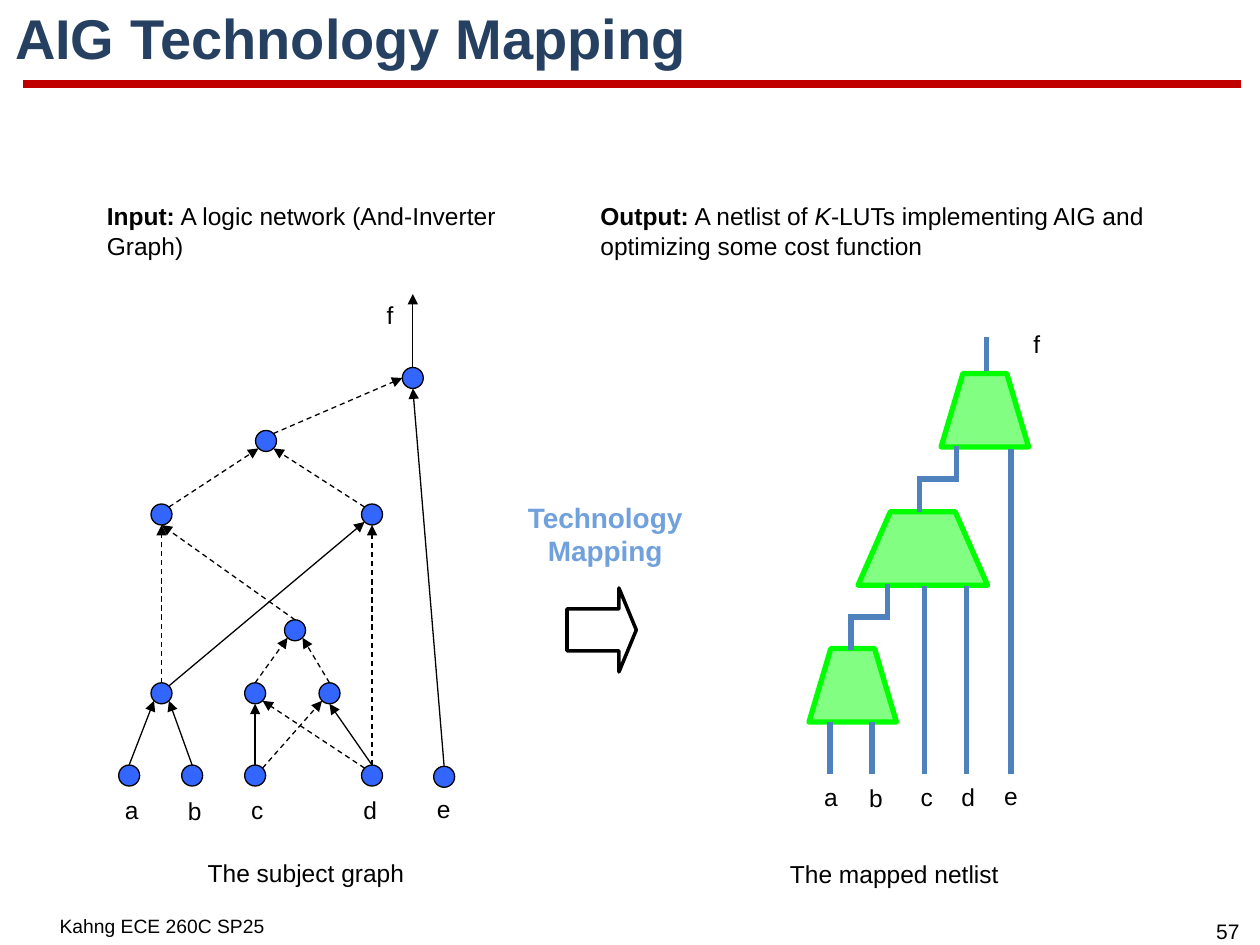
from lxml import etree
from pptx import Presentation
from pptx import util as u
from pptx.dml import color
from pptx.enum import dml, shapes, text
from pptx.oxml import ns

BLACK, NAVY, RED, SKY = "000000", "254061", "C00000", "71A1DC"
NODE, GATE, WIRE = "3366FF", "00FF00", "4F81BD"
LEFT, MID, RIGHT = text.PP_ALIGN.LEFT, text.PP_ALIGN.CENTER, text.PP_ALIGN.RIGHT
DASH = dml.MSO_LINE.DASH
RAD = 6
DIAG = RAD * 0.71
SIDE = {"n": (0, -RAD), "s": (0, RAD), "w": (-RAD, 0), "ne": (DIAG, -DIAG),
        "nw": (-DIAG, -DIAG), "se": (DIAG, DIAG), "sw": (-DIAG, DIAG)}


def rgb(code):
    return color.RGBColor.from_string(code)


def put(item, vals):
    """Set every attribute named in vals on item."""
    for name, val in vals.items():
        setattr(item, name, val)


def add(elem, tag, **attrs):
    return etree.SubElement(elem, ns.qn(tag), attrs)


class Page:
    def __init__(self, slide, face="Arial", size=14):
        self.slide, self.face, self.size = slide, face, size

    def words(self, frame, paras, align=LEFT, ink=BLACK, size=None, bold=False, gap=None):
        """Fill frame; each paragraph is a list of (words, font values)."""
        for num, runs in enumerate(paras):
            para = frame.add_paragraph() if num else frame.paragraphs[0]
            put(para, {"alignment": align, "line_spacing": gap})
            for part, vals in runs:
                run = para.add_run()
                run.text = part
                put(run.font, {"name": self.face, "size": u.Pt(size or self.size),
                               "bold": bold, **vals})
                run.font.color.rgb = rgb(ink)

    def title(self, name, box, **style):
        shape = self.slide.shapes.title
        put(shape, dict(zip(("left", "top", "width", "height"), map(u.Pt, box))))
        put(shape.text_frame, {"vertical_anchor": text.MSO_ANCHOR.MIDDLE,
                               "auto_size": text.MSO_AUTO_SIZE.NONE})
        self.words(shape.text_frame, [[(name, {})]], **style)

    def text(self, paras, box, wrap=False, **style):
        frame = self.slide.shapes.add_textbox(*map(u.Pt, box)).text_frame
        put(frame, {"word_wrap": wrap, "auto_size": text.MSO_AUTO_SIZE.SHAPE_TO_FIT_TEXT})
        self.words(frame, paras, **style)

    def label(self, word, x, top, wide=22):
        self.text([[(word, {})]], (x - wide / 2, top, wide, 24.2), align=RIGHT)

    def paint(self, shape, fill, ink, width):
        shape.shadow.inherit = False
        if fill:
            shape.fill.solid()
            shape.fill.fore_color.rgb = rgb(fill)
        else:
            shape.fill.background()
        shape.line.color.rgb = rgb(ink)
        shape.line.width = u.Pt(width)

    def shape(self, kind, box, fill=None, width=0.75):
        item = self.slide.shapes.add_shape(kind, *map(u.Pt, box))
        self.paint(item, fill, BLACK, width)
        return item

    def node(self, x, y):
        self.shape(shapes.MSO_SHAPE.OVAL, (x - RAD, y - RAD, 2 * RAD, 2 * RAD), NODE)

    def line(self, start, end, ink=BLACK, width=0.75, dash=None, arrow=False):
        item = self.slide.shapes.add_connector(
            shapes.MSO_CONNECTOR.STRAIGHT, *map(u.Pt, (*start, *end)))
        item.line.color.rgb = rgb(ink)
        put(item.line, {"width": u.Pt(width), "dash_style": dash})
        props = item.element.spPr
        if arrow:
            add(props.find(ns.qn("a:ln")), "a:tailEnd", type="triangle")
        add(props, "a:effectLst")

    def gate(self, left, top, wide, high=42):
        """Draw a see-through trapezoid whose top is half as wide as its base."""
        base, inset = top + high, wide / 4
        pen = self.slide.shapes.build_freeform(u.Pt(left + wide), u.Pt(base))
        pen.add_line_segments([(u.Pt(x), u.Pt(y)) for x, y in (
            (left + wide - inset, top), (left + inset, top), (left, base))])
        item = pen.convert_to_shape()
        self.paint(item, GATE, GATE, 3)
        tint = item.element.spPr.find(ns.qn("a:solidFill"))
        add(tint[0], "a:alpha", val="49000")


def graph(page):
    nodes = {"a": (73.8, 443.2), "b": (109.8, 443.2), "c": (145.8, 443.2),
             "d": (212.6, 443.2), "e": (253.8, 443.9),
             "ab": (92.3, 396.2), "cd1": (145.8, 396.2), "cd2": (188.3, 396.2),
             "xor": (168.6, 360.2), "left": (92.3, 294), "right": (212.6, 294),
             "and": (152, 252), "root": (235.9, 216)}
    edges = [("a", "n", "ab", "sw", None), ("b", "n", "ab", "se", None),
             ("c", "n", "cd1", "s", None), ("d", "n", "cd2", "s", None),
             ("d", "nw", "cd1", "se", DASH), ("c", "ne", "cd2", "sw", DASH),
             ("cd1", "n", "xor", "sw", DASH), ("cd2", "n", "xor", "se", DASH),
             ("ab", "n", "left", "s", DASH), ("xor", "n", "left", "s", DASH),
             ("d", "n", "right", "s", DASH), ("ab", "ne", "right", "sw", None),
             ("left", "ne", "and", "sw", DASH), ("right", "nw", "and", "se", DASH),
             ("and", "ne", "root", "w", DASH), ("e", "n", "root", "s", None)]

    def port(name, side):
        return [a + b for a, b in zip(nodes[name], SIDE[side])]

    for spot in nodes.values():
        page.node(*spot)
    for src, out, dest, into, dash in edges:
        page.line(port(src, out), port(dest, into), dash=dash, arrow=True)
    page.line(port("root", "n"), (235.9, 168), arrow=True)
    for word, x, top in (("a", 75.2, 450.7), ("b", 111.2, 451.2), ("c", 146.7, 450.7),
                         ("d", 211.5, 450.7), ("e", 253.6, 450.2)):
        page.label(word, x, top)
    page.label("f", 222.4, 167.8, 19)


def netlist(page):
    for box in ((462.3, 370.6, 50), (490.3, 292.4, 74), (537.8, 213.4, 50)):
        page.gate(*box)
    wires = [((x, 442.5), (x, top)) for x, top in (
        (474.3, 412.6), (498.3, 412.6), (528.3, 334.6), (552.3, 334.6), (577.7, 256.5))]
    for low, high, base, bend, top in ((486.3, 507.3, 371.3, 352.6, 333.6),
                                       (525.4, 546.4, 292.8, 273.7, 254.8)):
        wires += [((low, base), (low, bend)), ((high, bend), (high, top)),
                  ((high + 1.5, bend), (low - 1.5, bend))]
    wires.append(((563.8, 211.8), (563.8, 192.8)))
    for ends in wires:
        page.line(*ends, ink=WIRE, width=3)
    for word, x, top in (("a", 474.8, 443.6), ("b", 500.6, 444), ("c", 529.2, 443.5),
                         ("d", 553.2, 443.5), ("e", 577.7, 443)):
        page.label(word, x, top)
    page.label("f", 592, 184.4, 19)


def main():
    deck = Presentation()
    put(deck, {"slide_width": u.Pt(720), "slide_height": u.Pt(540)})
    page = Page(deck.slides.add_slide(deck.slide_layouts[5]))
    page.line((13, 48), (709, 48), ink=RED, width=4.5)
    page.title("AIG Technology Mapping", (1.4, 5.8, 715, 35.3),
               ink=NAVY, size=32, bold=True, gap=0.9)
    strong, slant = {"bold": True}, {"italic": True}
    page.text([[("Input:", strong), (" A logic network (And-Inverter Graph)", {})]],
              (54, 111.6, 246, 41), wrap=True)
    page.text([[("Output:", strong), (" A netlist of ", {}), ("K", slant),
                ("-LUTs implementing AIG and optimizing some cost function", {})]],
              (336, 111.6, 348, 41), wrap=True)
    graph(page)
    page.text([[("Technology", {})], [("Mapping", {})]], (293.6, 282.2, 104.4, 46),
              align=MID, ink=SKY, size=16, bold=True)
    arrow = page.shape(shapes.MSO_SHAPE.RIGHT_ARROW, (324, 336, 39.6, 48), width=2)
    arrow.adjustments[0], arrow.adjustments[1] = 0.5, 0.25
    netlist(page)
    page.text([[("The subject graph", {})]], (111.6, 486.5, 127.4, 24.2))
    page.text([[("The mapped netlist", {})]], (444.3, 487.6, 134.6, 24.2))
    page.text([[("Kahng ECE 260C SP25", {})]], (27, 519, 134.6, 19.4), wrap=True, size=11)
    page.text([[("57", {})]], (684, 521.3, 35.3, 21.6), wrap=True, align=MID, size=12)
    deck.save("out.pptx")


if __name__ == "__main__":
    main()
